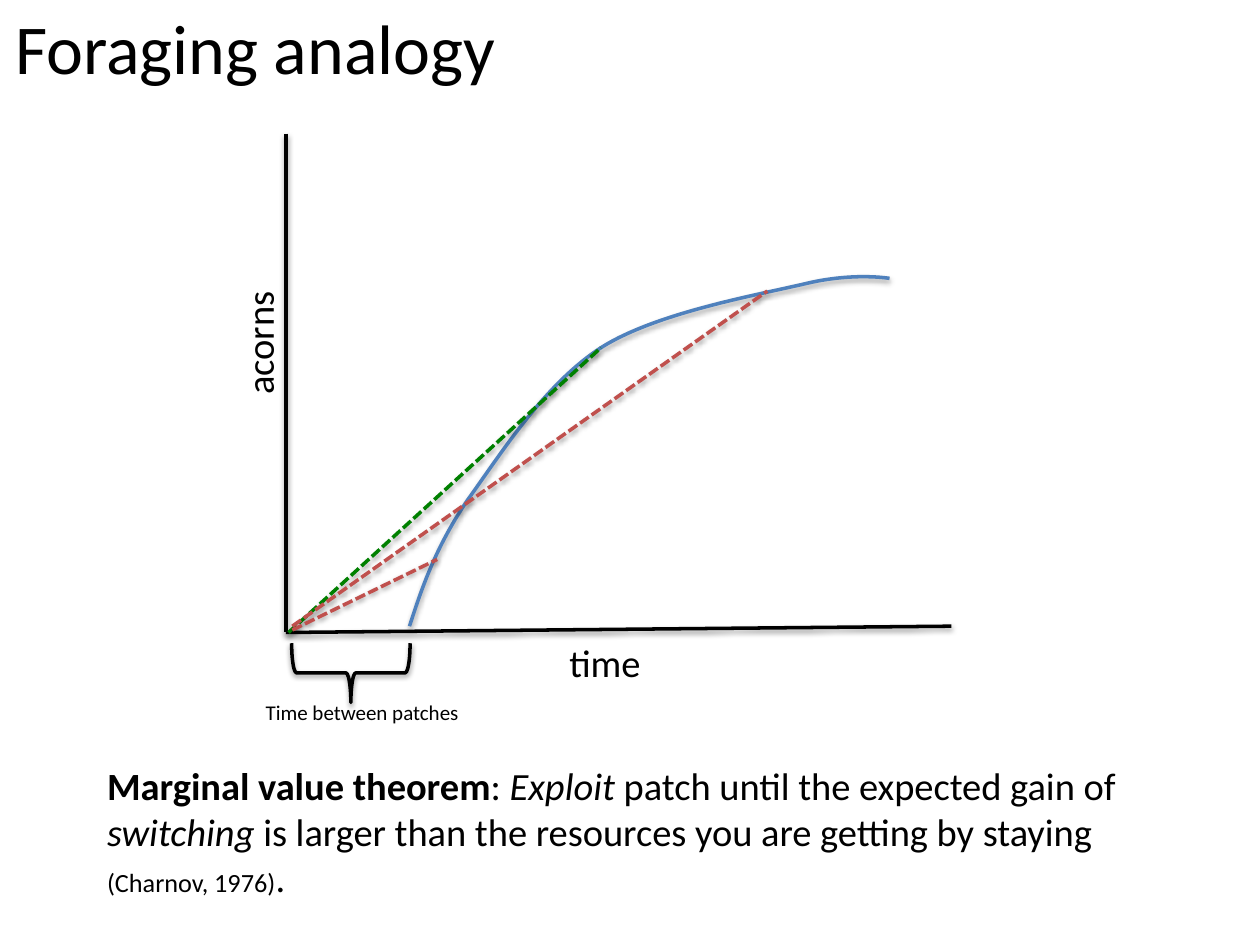
"""Build a slide explaining the marginal value theorem with a foraging curve."""
from lxml.etree import SubElement
from pptx import Presentation
from pptx.dml.color import RGBColor
from pptx.enum.dml import MSO_LINE
from pptx.enum.shapes import MSO_CONNECTOR, MSO_SHAPE
from pptx.enum.text import MSO_ANCHOR, MSO_AUTO_SIZE
from pptx.oxml.ns import qn
from pptx.util import Inches, Pt

BLACK = RGBColor(0x00, 0x00, 0x00)
BLUE = RGBColor(0x4F, 0x81, 0xBD)
GREEN = RGBColor(0x00, 0x80, 0x00)
RED = RGBColor(0xC0, 0x50, 0x4D)
FONT = "Calibri"

ORIGIN = (2.27, 5.02)
AXES = [((2.27, 1.06), ORIGIN), ((7.55, 4.97), ORIGIN)]
GAIN_START = (3.25, 4.97)
GAIN_CURVE = [
    ((3.35, 4.66), (3.46, 4.34), (3.71, 3.97)),
    ((3.97, 3.61), (4.32, 3.05), (4.77, 2.76)),
    ((5.21, 2.48), (6.02, 2.34), (6.4, 2.25)),
    ((6.78, 2.16), (7.06, 2.21), (7.06, 2.21)),
]
RATES = [
    ((2.29, 5.02), (4.77, 2.76), GREEN),
    ((2.32, 4.97), (6.09, 2.31), RED),
    ((2.32, 5), (3.47, 4.44), RED),
]
BRACE = (2.55, 4.87, 0.47, 0.94)
LABELS = [
    ("time", (4.42, 5.02, 0.77, 0.47), 22, 0),
    ("acorns", (1.54, 2.48, 1.03, 0.47), 22, 270),
    ("Time between patches", (2.01, 5.5, 1.76, 0.3), 12, 0),
]
TITLE = [("Foraging analogy", 40, "")]
THEOREM = [
    ("Marginal value theorem", 22, "bold"),
    (": ", 22, ""),
    ("Exploit ", 22, "italic"),
    ("patch until the expected gain of ", 22, ""),
    ("switching ", 22, "italic"),
    ("is larger than the resources you are getting by staying ", 22, ""),
    ("(Charnov, 1976)", 15, ""),
    (".", 22, ""),
]


def style_line(shape, color, dashed=False):
    shape.line.color.rgb = color
    shape.line.width = Pt(2)
    if dashed:
        shape.line.dash_style = MSO_LINE.SQUARE_DOT
    properties = shape._element.spPr
    for old in properties.findall(qn("a:effectLst")):
        properties.remove(old)
    effects = SubElement(properties, qn("a:effectLst"))
    shadow = SubElement(effects, qn("a:outerShdw"), blurRad=str(Pt(3.1)),
                        dist=str(Pt(1.6)), dir="5400000", rotWithShape="0")
    tint = SubElement(shadow, qn("a:srgbClr"), val=str(BLACK))
    SubElement(tint, qn("a:alpha"), val="38000")


def add_line(page, start, end, color, dashed=False):
    ends = [Inches(value) for value in (*start, *end)]
    style_line(page.shapes.add_connector(MSO_CONNECTOR.STRAIGHT, *ends), color, dashed)


def add_curve(page, start, segments, color):
    points = [start] + [point for segment in segments for point in segment]
    first_point, *others = [(round(x * 100), round(y * 100)) for x, y in points]
    builder = page.shapes.build_freeform(*first_point, scale=Inches(0.01))
    builder.add_line_segments(others, close=False)
    curve = builder.convert_to_shape()
    steps = list(curve._element.iter(qn("a:lnTo")))
    for first in range(0, len(steps), 3):
        bezier = SubElement(steps[first].getparent(), qn("a:cubicBezTo"))
        for step in steps[first:first + 3]:
            bezier.append(step[0])
            step.getparent().remove(step)
    curve.fill.background()
    style_line(curve, color)


def add_text(page, area, runs, wrap=False):
    box = page.shapes.add_textbox(*map(Inches, area))
    frame = box.text_frame
    frame.word_wrap = wrap
    frame.auto_size = MSO_AUTO_SIZE.SHAPE_TO_FIT_TEXT
    if wrap:
        frame.vertical_anchor = MSO_ANCHOR.MIDDLE
        frame.margin_left = frame.margin_right = Inches(0.04)
        frame.margin_top = frame.margin_bottom = Inches(0.04)
    para = frame.paragraphs[0]
    for text, size, emphasis in runs:
        span = para.add_run()
        span.text = text
        span.font.name = FONT
        span.font.size = Pt(size)
        span.font.color.rgb = BLACK
        span.font.bold = emphasis == "bold"
        span.font.italic = emphasis == "italic"
    return box


def main():
    deck = Presentation()
    deck.slide_width, deck.slide_height = Inches(10), Inches(7.5)
    page = deck.slides.add_slide(deck.slide_layouts[6])
    for start, end in AXES:
        add_line(page, start, end, BLACK)
    add_curve(page, GAIN_START, GAIN_CURVE, BLUE)
    for start, end, color in RATES:
        add_line(page, start, end, color, dashed=True)
    for text, area, size, rotation in LABELS:
        add_text(page, area, [(text, size, "")]).rotation = rotation
    add_text(page, (0.81, 6, 8.37, 1.19), THEOREM, wrap=True)
    brace = page.shapes.add_shape(MSO_SHAPE.LEFT_BRACE, *map(Inches, BRACE))
    brace.rotation = 270
    brace.fill.background()
    style_line(brace, BLACK)
    add_text(page, (0.08, -0.01, 9.7, 0.75), TITLE, wrap=True)
    deck.save("out.pptx")


if __name__ == "__main__":
    main()
